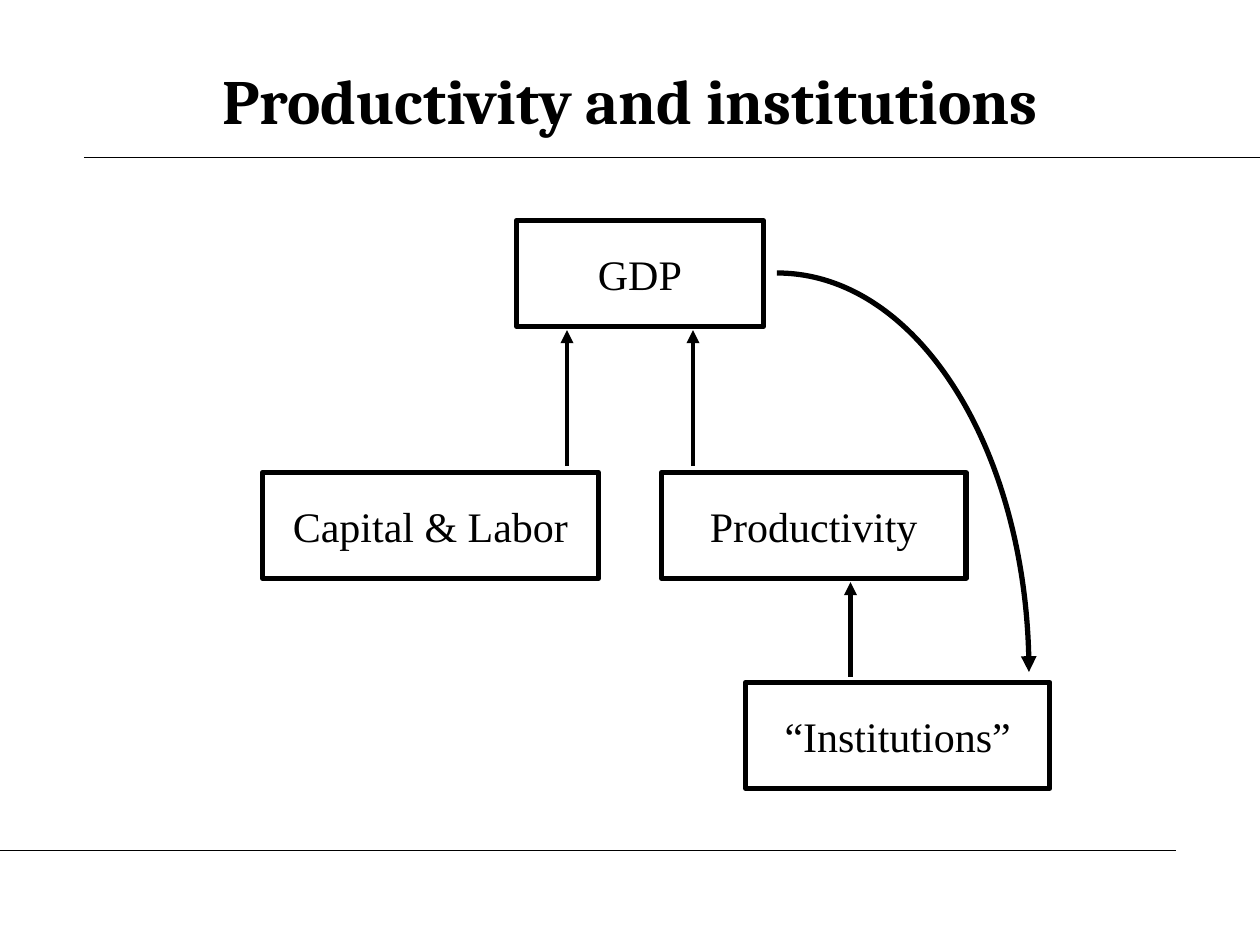
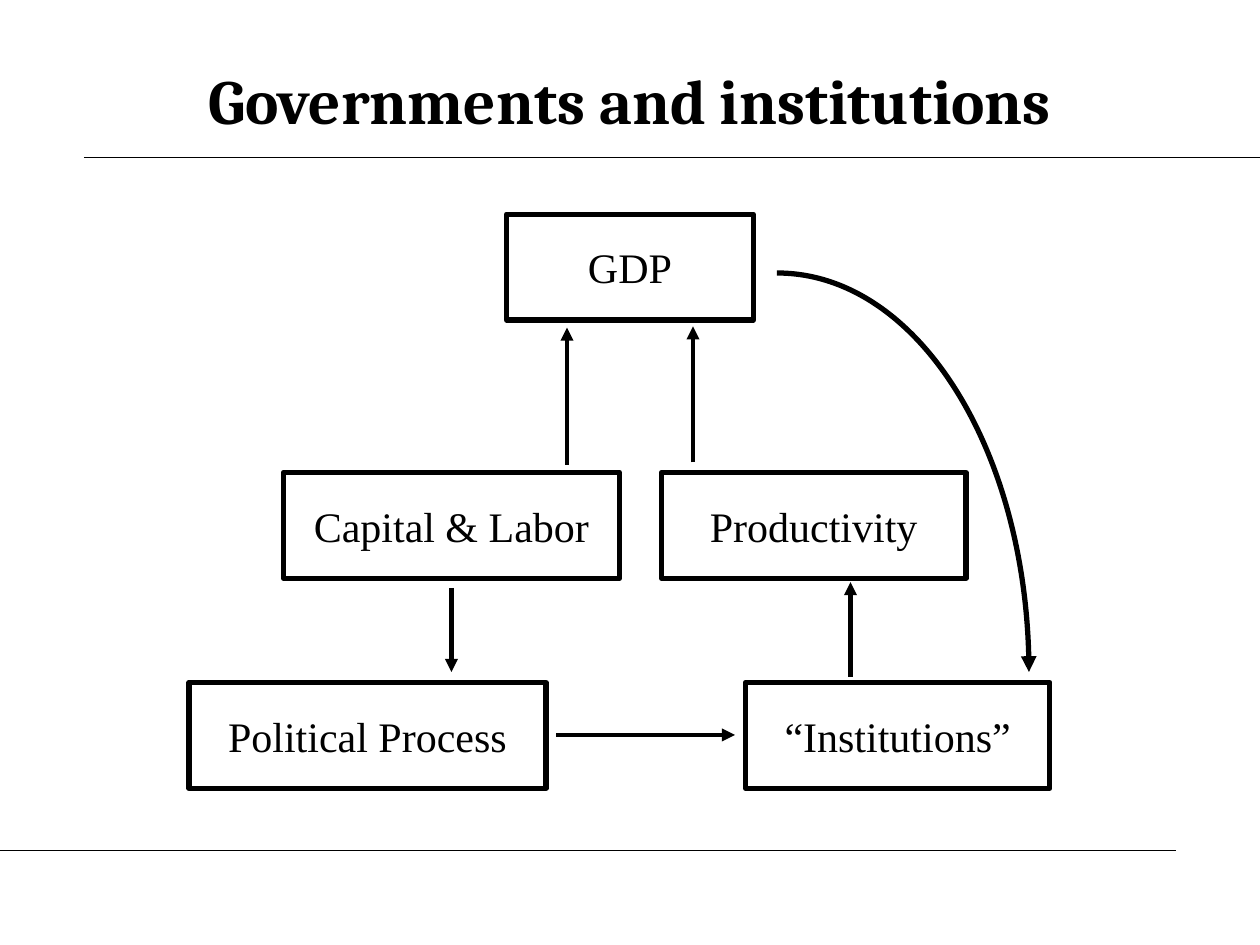
import pptx
import pptx.dml.color
import pptx.enum.shapes
import pptx.enum.text
import pptx.oxml
import pptx.oxml.ns
import pptx.util
from lxml import etree

Pt = pptx.util.Pt

COLORS = {"ink": "000000", "background": "FFFFFF"}
TITLE_FONT, BOX_FONT = "Cambria", "Times New Roman"
BOX_HEIGHT, BOX_INSET = 60.5, 14.4
TITLE_AREA = (36, 24, 648, 66)

# Lines are (x1, y1, x2, y2); boxes are (text, left, top, width).
RULES = [(48, 90, 720, 90), (0, 486, 672, 486), (90, 90, 720, 90), (0, 486, 510, 486)]
FEEDBACK = (444, 156, 588, 384)
SHARED_BOXES = [("Productivity", 378, 270, 174), ("“Institutions”", 426, 390, 174)]
SHARED_ARROWS = [(486, 386.6, 486, 332.6)]

SLIDES = [
    {
        "title": "Productivity and institutions",
        "boxes": [("GDP", 295.2, 126, 141), ("Capital & Labor", 150, 270, 192)],
        "arrows": [(324, 266.4, 324, 188.6), (396, 266.4, 396, 188.6)],
    },
    {
        "title": "Governments and institutions",
        "boxes": [
            ("GDP", 289.5, 122.4, 141),
            ("Capital & Labor", 162, 270, 192),
            ("Political Process", 108, 390, 204),
        ],
        "arrows": [
            (324, 265.7, 324, 187.2),
            (396, 264.2, 396, 186.5),
            (258, 336, 258, 384),
            (318, 420, 420, 420),
        ],
    },
]


def rgb(name):
    return pptx.dml.color.RGBColor.from_string(COLORS[name])


def sub(parent, tag, **attrs):
    return etree.SubElement(parent, pptx.oxml.ns.qn(tag), **attrs)


def set_line(sp, width, arrow=False):
    sp.line.color.rgb = rgb("ink")
    sp.line.width = Pt(width)
    if arrow:
        sub(sp.line._get_or_add_ln(), "a:tailEnd", type="triangle")


def add_line(s, ends, width, arrow=False):
    sp = s.shapes.add_connector(
        pptx.enum.shapes.MSO_CONNECTOR.STRAIGHT, *[Pt(v) for v in ends]
    )
    set_line(sp, width, arrow)
    sub(sp._element.spPr, "a:effectLst")


def add_curve(s, x1, y1, x2, y2):
    """Draw a quarter ellipse that leaves sideways and arrives downwards."""
    builder = s.shapes.build_freeform(Pt(x1), Pt(y1))
    builder.add_line_segments([(Pt(x2), Pt(y2))], close=False)
    sp = builder.convert_to_shape()
    sp.fill.background()
    set_line(sp, 3, arrow=True)
    sp.shadow.inherit = False
    segment = next(sp._element.iter(pptx.oxml.ns.qn("a:lnTo")))
    outline = segment.getparent()
    outline.remove(segment)
    bezier = sub(outline, "a:cubicBezTo")
    for fx, fy in [(0.55, 0), (1, 0.45), (1, 1)]:
        sub(bezier, "a:pt", x=str(int(sp.width * fx)), y=str(int(sp.height * fy)))


def set_text(sp, text, font, size, bold=False):
    tf = sp.text_frame
    tf.vertical_anchor = pptx.enum.text.MSO_ANCHOR.MIDDLE
    tf.word_wrap = True
    p = tf.paragraphs[0]
    p.text = text
    p.alignment = pptx.enum.text.PP_ALIGN.CENTER
    p.font.name, p.font.size, p.font.bold = font, Pt(size), bold
    p.font.color.rgb = rgb("ink")


def add_box(s, text, left, top, width):
    sp = s.shapes.add_shape(
        pptx.enum.shapes.MSO_SHAPE.RECTANGLE,
        Pt(left), Pt(top), Pt(width), Pt(BOX_HEIGHT),
    )
    sp.shadow.inherit = False
    sp.fill.background()
    set_line(sp, 3)
    tf = sp.text_frame
    tf.margin_left = tf.margin_right = tf.margin_top = tf.margin_bottom = Pt(BOX_INSET)
    set_text(sp, text, BOX_FONT, 24)


def add_diagram_slide(prs, content):
    s = prs.slides.add_slide(prs.slide_layouts[6])
    s.background.fill.solid()
    s.background.fill.fore_color.rgb = rgb("background")
    for ends in RULES:
        add_line(s, ends, 0.75)
    title = s.shapes.add_textbox(*[Pt(v) for v in TITLE_AREA])
    set_text(title, content["title"], TITLE_FONT, 36, bold=True)
    for box in content["boxes"] + SHARED_BOXES:
        add_box(s, *box)
    for ends in content["arrows"] + SHARED_ARROWS:
        add_line(s, ends, 2.5, arrow=True)
    add_curve(s, *FEEDBACK)


def main():
    prs = pptx.Presentation()
    prs.slide_width, prs.slide_height = Pt(720), Pt(540)
    for content in SLIDES:
        add_diagram_slide(prs, content)
    prs.save("out.pptx")


if __name__ == "__main__":
    main()
